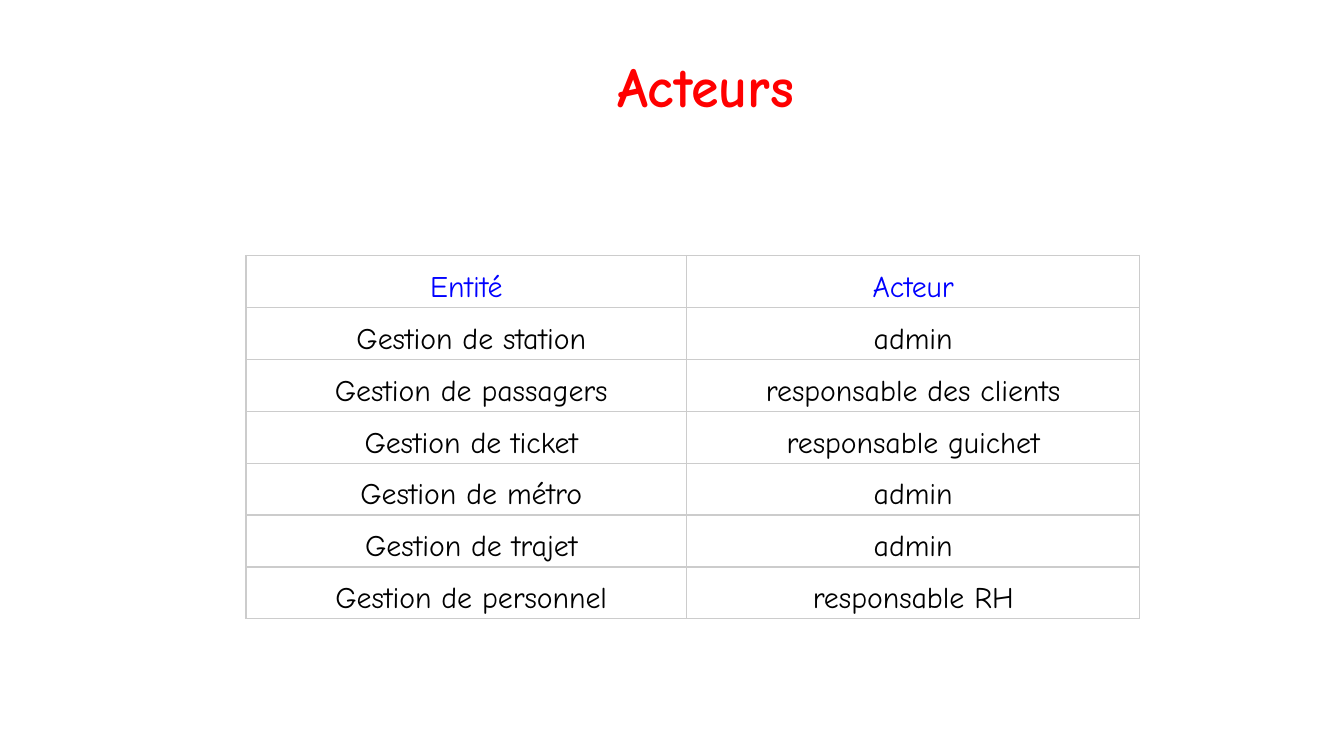
from dataclasses import dataclass

from lxml.etree import SubElement
from pptx import Presentation
from pptx.dml.color import RGBColor
from pptx.enum.text import MSO_ANCHOR, PP_ALIGN
from pptx.oxml.ns import qn
from pptx.util import Inches, Pt

SLIDE_WIDTH = Inches(10)
SLIDE_HEIGHT = SLIDE_WIDTH * 9 // 16


@dataclass(frozen=True)
class Theme:
    font: str = "Comic Neue"
    title_color: str = "FF0000"
    header_color: str = "0000FF"
    body_color: str = "000000"
    border_color: str = "CCCCCC"
    title_size: float = 30
    table_size: float = 16
    border_width: float = 0.75
    line_spacing: float = 1.15


THEME = Theme()

ACTORS = [
    ("Entité", "Acteur"),
    (" Gestion de station", "admin"),
    (" Gestion de passagers", "responsable des clients"),
    (" Gestion de ticket", "responsable guichet"),
    (" Gestion de métro", "admin"),
    (" Gestion de trajet", "admin"),
    (" Gestion de personnel", "responsable RH"),
]


def percent_box(left, top, width, height):
    """Turn percentages of the slide's size into lengths."""
    return (int(left * SLIDE_WIDTH / 100), int(top * SLIDE_HEIGHT / 100),
            int(width * SLIDE_WIDTH / 100), int(height * SLIDE_HEIGHT / 100))


def write_centred(paragraph, text, size, color, bold=False):
    paragraph.alignment = PP_ALIGN.CENTER
    paragraph.line_spacing = THEME.line_spacing
    run = paragraph.add_run()
    run.text = text
    run.font.name = THEME.font
    run.font.size = Pt(size)
    run.font.bold = bold
    run.font.color.rgb = RGBColor.from_string(color)


def border_cell(cell):
    properties = cell._tc.get_or_add_tcPr()
    for position, side in enumerate(("a:lnL", "a:lnR", "a:lnT", "a:lnB")):
        line = SubElement(properties, qn(side), w=str(Pt(THEME.border_width)))
        fill = SubElement(line, qn("a:solidFill"))
        SubElement(fill, qn("a:srgbClr"), val=THEME.border_color)
        properties.insert(position, line)


def add_title(slide, box, text):
    frame = slide.shapes.add_textbox(*box).text_frame
    frame.word_wrap = True
    frame.vertical_anchor = MSO_ANCHOR.TOP
    frame.margin_left = frame.margin_right = Inches(0.1)
    frame.margin_top = frame.margin_bottom = Inches(0.1)
    paragraph = frame.paragraphs[0]
    write_centred(paragraph, text, THEME.title_size, THEME.title_color, bold=True)
    properties = paragraph._p.get_or_add_pPr()
    properties.set("marL", str(Inches(0.5)))
    properties.set("indent", "0")


def add_actor_table(slide, box, rows, column_weights):
    table = slide.shapes.add_table(len(rows), len(column_weights), *box).table
    table.first_row = table.horz_banding = False
    for column, weight in zip(table.columns, column_weights):
        column.width = int(box[2] * weight / sum(column_weights))
    for row_index, texts in enumerate(rows):
        color = THEME.body_color if row_index else THEME.header_color
        for column_index, text in enumerate(texts):
            cell = table.cell(row_index, column_index)
            cell.fill.background()
            cell.vertical_anchor = MSO_ANCHOR.BOTTOM
            cell.margin_left = cell.margin_right = Inches(0.03)
            cell.margin_top = cell.margin_bottom = Inches(0.02)
            write_centred(cell.text_frame.paragraphs[0], text,
                          THEME.table_size, color)
            border_cell(cell)


def main():
    presentation = Presentation()
    presentation.slide_width = SLIDE_WIDTH
    presentation.slide_height = SLIDE_HEIGHT
    slide = presentation.slides.add_slide(presentation.slide_layouts[6])
    add_title(slide, percent_box(3.4, 3.7, 93.2, 11.2), "Acteurs")
    add_actor_table(slide, percent_box(18.3, 33.8, 66.5, 48.1), ACTORS,
                    column_weights=(3.28, 3.37))
    presentation.save("out.pptx")


if __name__ == "__main__":
    main()
